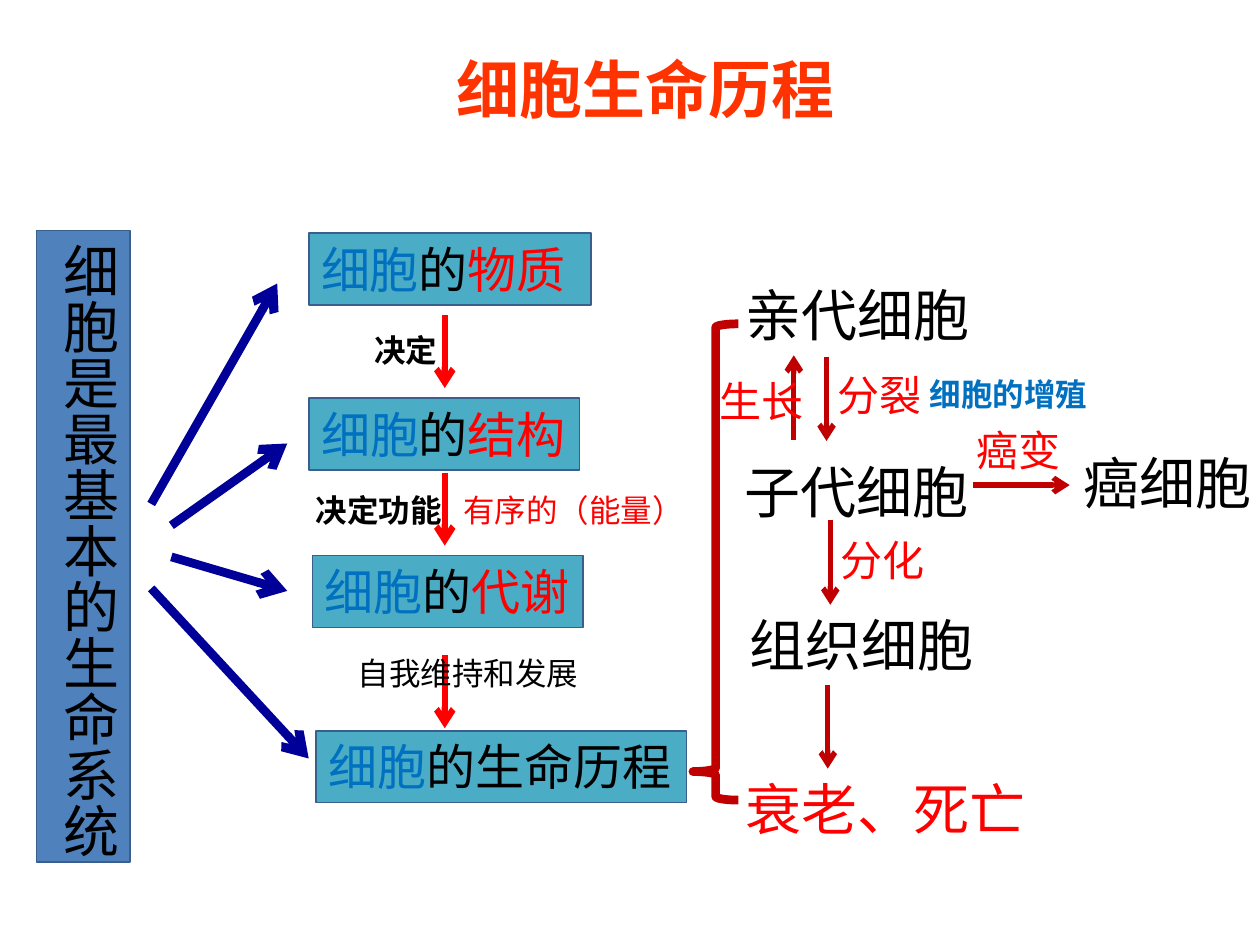
from dataclasses import dataclass

from lxml import etree
from pptx import Presentation
from pptx import util as u
from pptx.dml.color import RGBColor
from pptx.enum import shapes, text
from pptx.oxml.ns import qn

PX = 9144  # EMU per px, 100 px to the inch


@dataclass(frozen=True)
class Theme:
    cjk: str = "Noto Sans CJK SC"
    latin: str = "Calibri"
    title_font: str = "Arial"
    title_size: int = 36
    stage_size: int = 32
    step_size: int = 28
    label_size: int = 24
    note_size: int = 18
    title: str = "FF3300"
    black: str = "000000"
    blue: str = "0070C0"
    red: str = "FF0000"
    dark_red: str = "C00000"
    navy: str = "000099"
    bar: str = "4F81BD"
    step: str = "4BACC6"
    border: str = "3A5F8C"


THEME = Theme()


@dataclass(frozen=True)
class Box:
    x: int
    y: int
    w: int
    h: int

    def inner(self, x, y, w, h):
        return Box(self.x + x, self.y + y, w, h)

    def emu(self):
        return [side * PX for side in (self.x, self.y, self.w, self.h)]


def rgb(value):
    return RGBColor.from_string(value)


def write(frame, spans, size, font=THEME.cjk, bold=False, wrap=False):
    """Fill a frame with one paragraph of (wording, colour) spans."""
    frame.word_wrap = wrap
    frame.auto_size = text.MSO_AUTO_SIZE.SHAPE_TO_FIT_TEXT
    frame.vertical_anchor = text.MSO_ANCHOR.TOP
    para = frame.paragraphs[0]
    para.alignment = text.PP_ALIGN.LEFT
    para.font.size, para.font.name, para.font.bold = u.Pt(size), font, bold
    east_asian = etree.SubElement(para._p.pPr.defRPr, qn("a:ea"))
    east_asian.set("typeface", THEME.cjk)
    for wording, colour in spans:
        span = para.add_run()
        span.text = wording
        span.font.color.rgb = rgb(colour)
    return para


def add_text(page, box, wording, colour, size, **style):
    frame = page.shapes.add_textbox(*box.emu()).text_frame
    write(frame, [(wording, colour)], size, **style)


def add_panel(page, box, fill, spans, size, wrap=False):
    panel = page.shapes.add_shape(shapes.MSO_SHAPE.RECTANGLE, *box.emu())
    panel.shadow.inherit = False
    panel.fill.solid()
    panel.fill.fore_color.rgb = rgb(fill)
    panel.line.color.rgb = rgb(THEME.border)
    panel.line.width = u.Pt(1)
    write(panel.text_frame, spans, size, wrap=wrap)
    return panel


def add_arrow(page, box, start, end, colour, width):
    ends = [(box.x + x, box.y + y) for x, y in (start, end)]
    arrow = page.shapes.add_connector(
        shapes.MSO_CONNECTOR.STRAIGHT, *[side * PX for point in ends for side in point])
    arrow.line.color.rgb = rgb(colour)
    arrow.line.width = u.Pt(width)
    etree.SubElement(arrow.line._get_or_add_ln(), qn("a:tailEnd")).set("type", "arrow")
    etree.SubElement(arrow._element.spPr, qn("a:effectLst"))


def place_title(page, box):
    title = page.shapes.title
    title.left, title.top, title.width, title.height = box.emu()
    para = write(title.text_frame, [("细胞生命历程", THEME.title)], THEME.title_size,
                 font=THEME.title_font, bold=True, wrap=True)
    para.alignment = text.PP_ALIGN.CENTER


def place_system_bar(page, box):
    bar = add_panel(page, box, THEME.bar, [("细胞是最基本的生命系统", THEME.black)],
                    THEME.stage_size)
    bar.text_frame._txBody.bodyPr.set("vert", "eaVert")


def place_fan(page, box):
    """Arrows from the system bar to the four steps."""
    for start, end in (((0, 175), (100, 0)), ((16, 192), (108, 127)),
                       ((16, 217), (108, 244)), ((0, 242), (125, 377))):
        add_arrow(page, box, start, end, THEME.navy, 5)


def place_steps(page, box):
    """Four steps, the arrows between them and their notes."""
    for x, y, w, middle, ending in ((4, 0, 224, "的", "物质"), (4, 131, 215, "的", "结构"),
                                    (7, 256, 215, "的", "代谢"), (10, 395, 294, "的生命历程", "")):
        spans = [("细胞", THEME.blue), (middle, THEME.black)]
        if ending:
            spans.append((ending, THEME.red))
        add_panel(page, box.inner(x, y, w, 57), THEME.step, spans, THEME.step_size,
                  wrap=w not in (215,))
    for y in (65, 190, 335):
        add_arrow(page, box, (112, y), (112, y + 58), THEME.red, 3.5)
    for x, y, w, wording, colour, bold in (
            (46, 73, 71, "决定", THEME.black, True),
            (0, 200, 120, "决定功能", THEME.black, True),
            (117, 200, 195, "有序的（能量）", THEME.red, False),
            (33, 329, 196, "自我维持和发展", THEME.black, False)):
        add_text(page, box.inner(x, y, w, 40), wording, colour, THEME.note_size,
                 font=THEME.latin, bold=bold)


def place_life_course(page, box):
    """Brace and the stages a cell passes through."""
    brace = page.shapes.add_shape(shapes.MSO_SHAPE.LEFT_BRACE,
                                  *box.inner(0, 39, 36, 378).emu())
    brace.shadow.inherit = False
    brace.adjustments[0], brace.adjustments[1] = 0.08, 0.94
    brace.fill.background()
    brace.line.color.rgb = rgb(THEME.dark_red)
    brace.line.width = u.Pt(5)

    # Stages
    for x, y, w, wording, colour in (
            (32, 0, 398, "亲代细胞", THEME.black), (31, 140, 218, "子代细胞", THEME.black),
            (35, 262, 206, "组织细胞", THEME.black), (32, 392, 280, "衰老、死亡", THEME.red),
            (300, 133, 170, "癌细胞", THEME.black)):
        add_text(page, box.inner(x, y, w, 64), wording, colour, THEME.stage_size, wrap=True)

    # Changes between stages
    for start, end in (((106, 65), (106, 132)), ((109, 195), (109, 262)),
                       ((107, 326), (107, 392)), ((80, 131), (80, 64)),
                       ((222, 167), (299, 167))):
        add_arrow(page, box, start, end, THEME.dark_red, 3)
    for x, y, wording in ((105, 70, "分裂"), (107, 201, "分化"),
                          (11, 75, "生长"), (215, 114, "癌变")):
        add_text(page, box.inner(x, y, 128, 50), wording, THEME.red,
                 THEME.label_size, wrap=True)
    add_text(page, box.inner(178, 75, 146, 40), "细胞的增殖", THEME.blue,
             THEME.note_size, font=THEME.latin, bold=True)


def main():
    deck = Presentation()
    deck.slide_width, deck.slide_height = 1000 * PX, 750 * PX
    page = deck.slides.add_slide(deck.slide_layouts[5])
    place_title(page, Box(313, 35, 398, 71))
    place_system_bar(page, Box(29, 183, 74, 501))
    place_fan(page, Box(120, 225, 125, 377))
    place_steps(page, Box(241, 185, 304, 452))
    place_life_course(page, Box(550, 218, 470, 456))
    deck.save("out.pptx")


if __name__ == "__main__":
    main()
